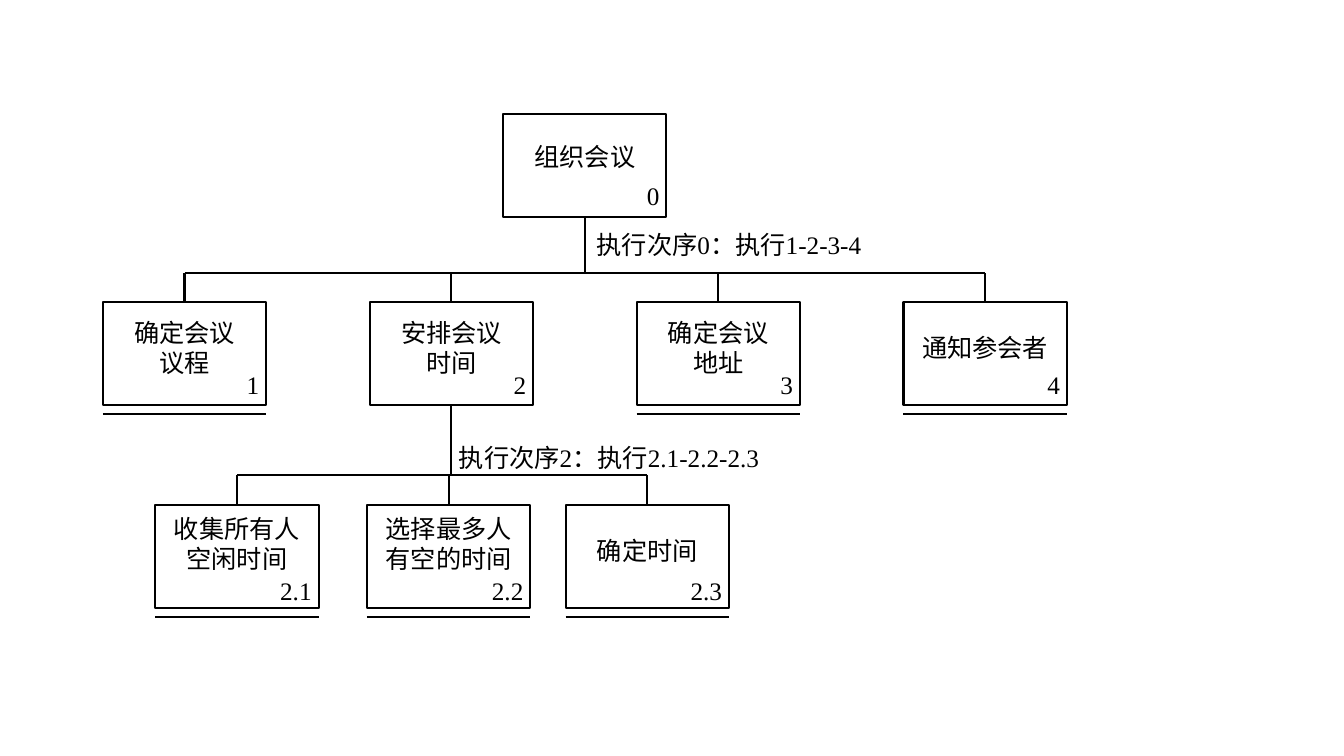
from lxml.etree import SubElement
from pptx import Presentation
from pptx.dml.color import RGBColor
from pptx.enum.shapes import MSO_CONNECTOR, MSO_SHAPE
from pptx.enum.text import MSO_ANCHOR, PP_ALIGN
from pptx.oxml.ns import qn
from pptx.util import Inches, Pt

BLACK = RGBColor(0, 0, 0)
CHINESE_FONT = "Noto Sans CJK SC"
LATIN_FONT = "Times New Roman"
TASK_WIDTH, TASK_HEIGHT = 1.62, 1.02
LINE_HEIGHT = 0.4
LEAF_GAP = 0.09


def add_text(slide, left, top, width, height, text, font_name, align=PP_ALIGN.CENTER):
    """Write black 18 pt text, centred vertically in the given box."""
    box = slide.shapes.add_textbox(Inches(left), Inches(top), Inches(width), Inches(height))
    frame = box.text_frame
    frame.word_wrap = True
    frame.vertical_anchor = MSO_ANCHOR.MIDDLE
    frame.text = text
    for paragraph in frame.paragraphs:
        paragraph.alignment = align
        font = paragraph.font
        font.name, font.size, font.color.rgb = font_name, Pt(18), BLACK
        east_asian = SubElement(paragraph._p.pPr.find(qn("a:defRPr")), qn("a:ea"))
        east_asian.set("typeface", CHINESE_FONT)


def add_line(slide, x1, y1, x2, y2):
    """Draw a straight black line without a shadow."""
    line = slide.shapes.add_connector(
        MSO_CONNECTOR.STRAIGHT, Inches(x1), Inches(y1), Inches(x2), Inches(y2))
    line.line.color.rgb = BLACK
    line.line.width = Pt(1.5)
    SubElement(line._element.spPr, qn("a:effectLst"))


def add_task(slide, left, top, label, number, label_middle, number_top=0.61, leaf=True):
    """Draw a task box with its label and number; a leaf task is underlined."""
    frame = slide.shapes.add_shape(
        MSO_SHAPE.RECTANGLE, Inches(left), Inches(top), Inches(TASK_WIDTH), Inches(TASK_HEIGHT))
    frame.shadow.inherit = False
    frame.fill.background()
    frame.line.color.rgb = BLACK
    frame.line.width = Pt(1.5)
    label_height = 0.71
    add_text(slide, left, top + label_middle - label_height / 2, TASK_WIDTH, label_height,
             label, CHINESE_FONT)
    add_text(slide, left + TASK_WIDTH - 0.6, top + number_top, 0.63, LINE_HEIGHT,
             number, LATIN_FONT, PP_ALIGN.RIGHT)
    if leaf:
        underline = top + TASK_HEIGHT + LEAF_GAP
        add_line(slide, left, underline, left + TASK_WIDTH, underline)


def add_branch(slide, parent_left, parent_top, child_lefts, child_top, bus_y):
    """Join a parent task to the row of its children through a horizontal bus."""
    parent_x = parent_left + TASK_WIDTH / 2
    child_xs = [left + TASK_WIDTH / 2 for left in child_lefts]
    add_line(slide, parent_x, parent_top + TASK_HEIGHT, parent_x, bus_y)
    add_line(slide, child_xs[0], bus_y, child_xs[-1], bus_y)
    for x in child_xs:
        add_line(slide, x, bus_y, x, child_top)


def add_sequence(slide, left, top, text):
    """Write the execution order beside a branch."""
    add_text(slide, left, top, 3.72, LINE_HEIGHT, text, LATIN_FONT)


def build_task_hierarchy(slide, left, top):
    """Draw the whole meeting task hierarchy from its top left corner."""
    root_left, root_top = left + 3.97, top
    step_lefts = [left + 2.647 * i for i in range(4)]
    step_top = top + 1.87
    substep_lefts = [left + offset for offset in (0.52, 2.62, 4.59)]
    substep_top = top + 3.88

    add_task(slide, root_left, root_top, "组织会议", "0", 0.42, leaf=False)
    steps = [("确定会议\n议程", "1"), ("安排会议\n时间", "2"),
             ("确定会议\n地址", "3"), ("通知参会者", "4")]
    for step_left, (label, number) in zip(step_lefts, steps):
        add_task(slide, step_left, step_top, label, number, 0.45, leaf=number != "2")
    substeps = [("收集所有人空闲时间", "2.1", 0.38), ("选择最多人有空的时间", "2.2", 0.38),
                ("确定时间", "2.3", 0.45)]
    for substep_left, (label, number, middle) in zip(substep_lefts, substeps):
        add_task(slide, substep_left, substep_top, label, number, middle, 0.65)

    add_branch(slide, root_left, root_top, step_lefts, step_top, top + 1.58)
    add_branch(slide, step_lefts[1], step_top, substep_lefts, substep_top, top + 3.58)
    add_sequence(slide, left + 4.35, top + 1.1, "执行次序0：执行1-2-3-4")
    add_sequence(slide, left + 3.16, top + 3.21, "执行次序2：执行2.1-2.2-2.3")


presentation = Presentation()
presentation.slide_width, presentation.slide_height = Inches(13.33), Inches(7.5)
hierarchy_slide = presentation.slides.add_slide(presentation.slide_layouts[6])
build_task_hierarchy(hierarchy_slide, 1.02, 1.13)
presentation.save("out.pptx")
